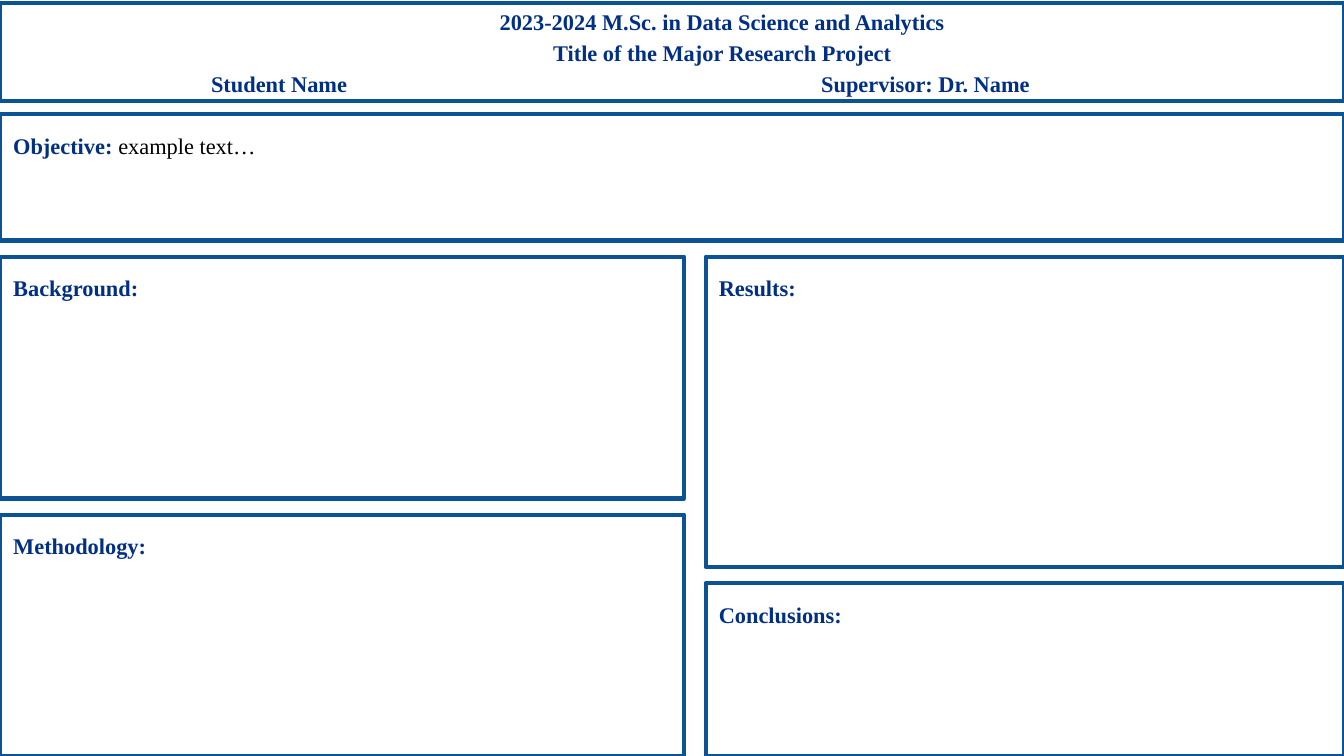
from lxml.etree import SubElement
from pptx import Presentation
from pptx.dml.color import RGBColor
from pptx.enum.shapes import MSO_SHAPE as Shape
from pptx.enum.text import MSO_ANCHOR as Anchor, MSO_AUTO_SIZE as AutoSize, PP_ALIGN as Align
from pptx.oxml.ns import qn
from pptx.util import Inches, Pt

NAVY = RGBColor(0x00, 0x2F, 0x84)
BLUE = RGBColor(0x0B, 0x53, 0x94)
BLACK = RGBColor(0, 0, 0)
FONT = "Times New Roman"

WIDTH = 10
HEIGHT = WIDTH * 9 / 16
GAP = 0.12
BODY_TOP = 1.91
LEFT_COLUMN = (0, 5.09)
RIGHT_COLUMN = (5.25, WIDTH - 5.25)
FULL_WIDTH = (0, WIDTH)
NAME_STOPS = (0.67, 5.21)


def format_frame(frame):
    """Give a text frame equal insets, wrapping and top anchoring."""
    frame.word_wrap = True
    frame.auto_size = AutoSize.NONE
    frame.vertical_anchor = Anchor.TOP
    frame.margin_left = frame.margin_right = Inches(0.1)
    frame.margin_top = frame.margin_bottom = Inches(0.1)


def format_font(font, color, bold):
    """Set the poster font with a colour and weight."""
    font.name, font.size, font.bold = FONT, Pt(12), bold
    font.color.rgb = color


def format_paragraph(para, align):
    """Apply the bold navy heading style to a paragraph."""
    para.alignment = align
    para.line_spacing = 1.15
    format_font(para.font, NAVY, True)


def add_tab_stops(para, stops):
    """Set left tab stops, in inches from the text edge."""
    properties = para._p.get_or_add_pPr()
    tabs = SubElement(properties, qn("a:tabLst"))
    properties.find(qn("a:defRPr")).addprevious(tabs)
    for stop in stops:
        SubElement(tabs, qn("a:tab"), pos=str(Inches(stop)), algn="l")


def add_panel(page, column, top, height, heading="", body=""):
    """Draw an outlined panel with an optional heading and body text."""
    left, width = column
    box = page.shapes.add_shape(
        Shape.RECTANGLE, Inches(left), Inches(top), Inches(width), Inches(height))
    box.shadow.inherit = False
    box.fill.background()
    box.line.color.rgb = BLUE
    box.line.width = Pt(2.25)
    if heading:
        format_frame(box.text_frame)
        para = box.text_frame.paragraphs[0]
        format_paragraph(para, Align.LEFT)
        for text, color, bold in ((heading, NAVY, True), (body, BLACK, False)):
            if text:
                span = para.add_run()
                span.text = text
                format_font(span.font, color, bold)


def add_stack(page, column, upper, headings):
    """Stack two panels in a body column, the lower one filling the rest."""
    lower_top = BODY_TOP + upper + GAP
    add_panel(page, column, BODY_TOP, upper, headings[0])
    add_panel(page, column, lower_top, HEIGHT - lower_top, headings[1])


def fill_title(page):
    """Write the programme, project title and names into the title."""
    title = page.shapes.title
    title.left, title.top = Inches(0.8), Inches(-0.07)
    title.width, title.height = Inches(9.15), Inches(0.79)
    frame = title.text_frame
    lines = ("2023-2024 M.Sc. in Data Science and Analytics",
             "Title of the Major Research Project",
             "\tStudent Name\tSupervisor: Dr. Name")
    frame.text = "\n".join(lines)
    format_frame(frame)
    for para in frame.paragraphs:
        format_paragraph(para, Align.CENTER)
    names = frame.paragraphs[-1]
    names.alignment = Align.LEFT
    add_tab_stops(names, NAME_STOPS)


def main():
    """Build the research poster slide."""
    deck = Presentation()
    deck.slide_width, deck.slide_height = Inches(WIDTH), Inches(HEIGHT)
    page = deck.slides.add_slide(deck.slide_layouts.get_by_name("Title Only"))
    add_panel(page, FULL_WIDTH, 0.02, 0.73)
    fill_title(page)
    add_panel(page, FULL_WIDTH, 0.85, 0.94, "Objective: ", "example text…")
    add_stack(page, LEFT_COLUMN, 1.8, ("Background:", "Methodology:"))
    add_stack(page, RIGHT_COLUMN, 2.31, ("Results:", "Conclusions:"))
    deck.save("out.pptx")


if __name__ == "__main__":
    main()
